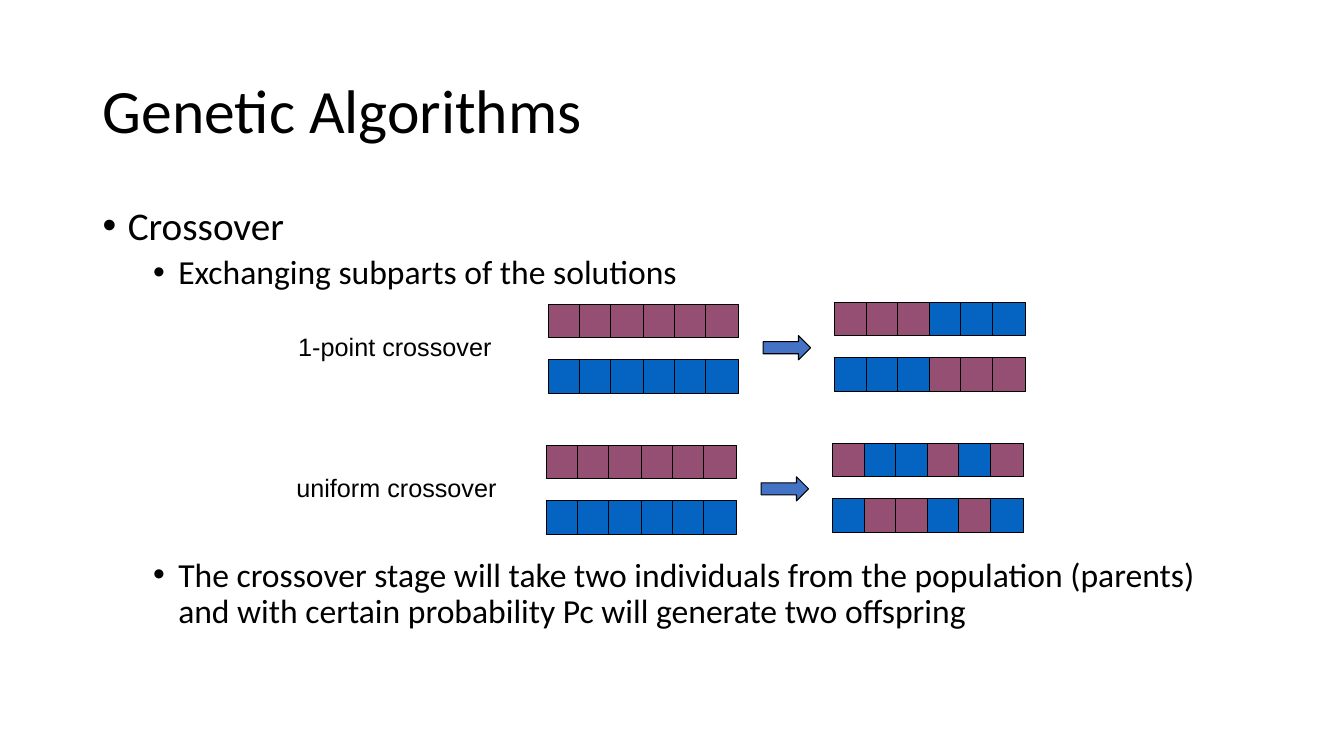
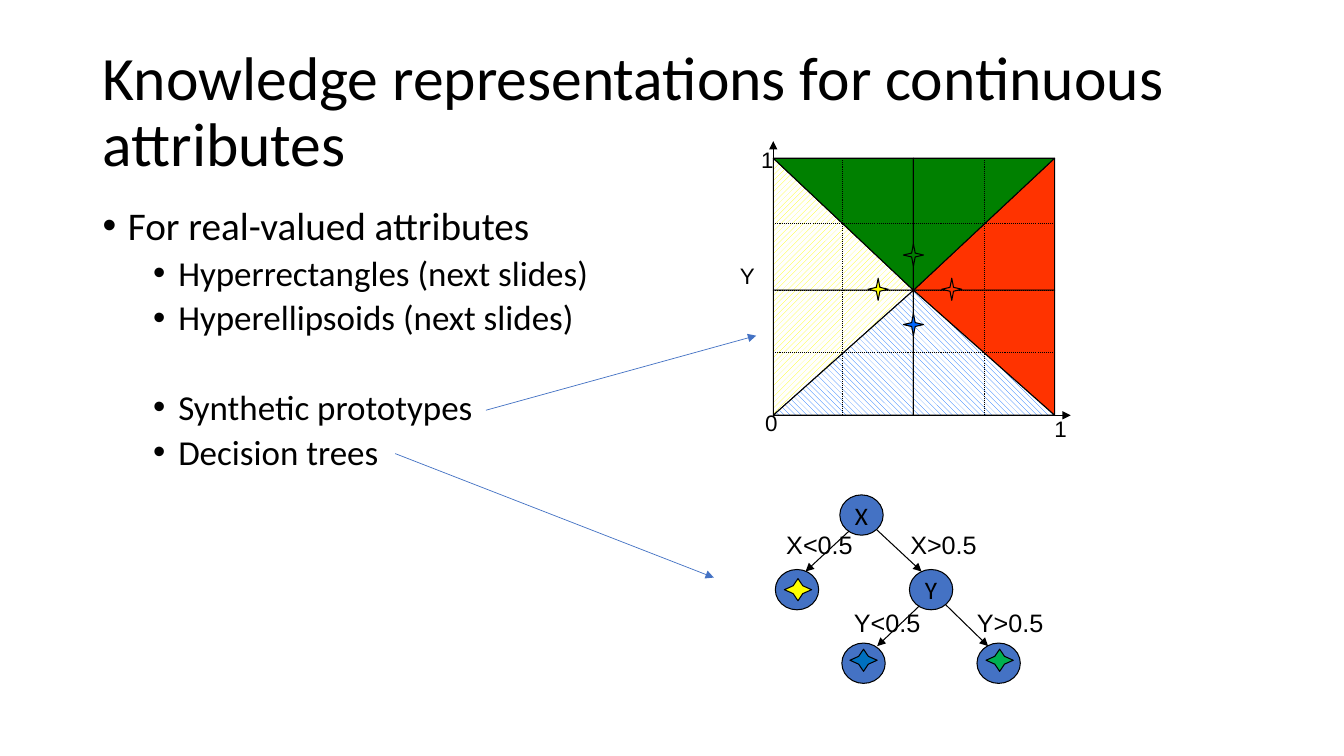
from pptx import Presentation
from pptx.dml.color import RGBColor
from pptx.enum.dml import MSO_LINE, MSO_PATTERN
from pptx.enum.shapes import MSO_CONNECTOR, MSO_SHAPE
from pptx.enum.text import MSO_ANCHOR, MSO_AUTO_SIZE, PP_ALIGN
from pptx.oxml.ns import qn
from pptx.util import Pt
from lxml import etree

PX = 9144  # 100 px to the inch
RECT, OVAL, STAR = MSO_SHAPE.RECTANGLE, MSO_SHAPE.OVAL, MSO_SHAPE.STAR_4_POINT
TRIANGLE, ARROW = MSO_SHAPE.RIGHT_TRIANGLE, MSO_SHAPE.RIGHT_ARROW
DOTTED = MSO_LINE.ROUND_DOT

BLACK, WHITE, ACCENT = "000000", "FFFFFF", "4472C4"
PLUM, BLUE = "954F72", "0563C1"
HEAD_FONT, LABEL_FONT = "Calibri", "Arial"
TITLE_BOX, BODY_BOX = (92, 40, 1150, 145), (92, 200, 1150, 476)

# Body lines: text, level, size, space before
CROSSOVER_BODY = [
    ("Crossover", 0, 28, 10),
    ("Exchanging subparts of the solutions", 1, 24, 5),
    ("The crossover stage will take two individuals from the population (parents) "
     "and with certain probability Pc will generate two offspring", 1, 24, 190),
]
ATTRIBUTES_BODY = [
    ("For real-valued attributes", 0, 28, 10),
    ("Hyperrectangles (next slides)", 1, 25, 5),
    ("Hyperellipsoids (next slides)", 1, 25, 5),
    ("Synthetic prototypes", 1, 25, 37),
    ("Decision trees", 1, 25, 5),
]

# Crossovers: label, label width, left shift, top shift, genes of the first child
CROSSOVERS = [
    ("1-point crossover", 214, 0, 0, "AAABBB"),
    ("uniform crossover", 221, -2, 140, "ABBABA"),
]
GENE_COLORS = {"A": PLUM, "B": BLUE}
SWAP = str.maketrans("AB", "BA")

# Square of prototypes: left, middle, right and top, middle, bottom
PLOT_X, PLOT_Y = (767, 906, 1046), (157, 288, 412)
UP, DOWN = MSO_PATTERN.WIDE_UPWARD_DIAGONAL, MSO_PATTERN.WIDE_DOWNWARD_DIAGONAL
VERTICAL, HORIZONTAL = MSO_PATTERN.DARK_VERTICAL, MSO_PATTERN.DARK_HORIZONTAL
YELLOW, GREEN = ("FFFF00", UP), ("008000", VERTICAL)
RED, SKY = ("FF3300", HORIZONTAL), ("0066FF", DOWN)
# Column, row, then each triangle's class and flips
QUADRANTS = [
    (0, 0, (YELLOW, ""), (GREEN, "HV")),
    (1, 0, (RED, "H"), (GREEN, "V")),
    (0, 1, (YELLOW, "V"), (SKY, "H")),
    (1, 1, (RED, "HV"), (SKY, "")),
]
PROTOTYPES = [(861, 276, YELLOW), (896, 242, GREEN), (934, 276, RED), (896, 311, SKY)]
AXIS_LABELS = [("Y", 724, 255), ("0", 749, 401), ("1", 1036, 407), ("1", 745, 140)]

TREE_NODES = [("X", 833, 491), ("", 769, 565), ("Y", 902, 565), ("", 835, 638), ("", 969, 638)]
TREE_EDGES = [
    ((842, 527), (799, 567)), ((869, 525), (914, 567)),
    ((912, 601), (870, 641)), ((938, 600), (980, 641)),
]
TREE_TESTS = [("X<0.5", 770, 520), ("X>0.5", 893, 520), ("Y<0.5", 837, 598), ("Y>0.5", 959, 598)]
TREE_LEAVES = [(778, 574, "FFFF00"), (843, 644, "0070C0"), (978, 644, "00B050")]
POINTERS = [((482, 407), (750, 333)), ((392, 450), (708, 573))]


def rgb(color):
    return RGBColor.from_string(color)


def px(*lengths):
    return [n * PX for n in lengths]


def style(p, size, font):
    for r in p.runs:
        r.font.size, r.font.name = Pt(size), font
        r.font.color.rgb = rgb(BLACK)


def add_shape(slide, kind, box, fill=None, pattern=None, flips="", adj=None):
    sp = slide.shapes.add_shape(kind, *px(*box))
    sp.shadow.inherit = False
    sp.line.color.rgb, sp.line.width = rgb(BLACK), Pt(0.75)
    if pattern is not None:
        sp.fill.patterned()
        sp.fill.pattern = pattern
        sp.fill.fore_color.rgb, sp.fill.back_color.rgb = rgb(fill), rgb(WHITE)
    elif fill:
        sp.fill.solid()
        sp.fill.fore_color.rgb = rgb(fill)
    else:
        sp.fill.background()
    for axis in flips:
        sp._element.spPr.find(qn("a:xfrm")).set("flip" + axis, "1")
    if adj is not None:
        sp.adjustments[0] = adj
    return sp


def add_line(slide, start, end, color=BLACK, width=0.75, dash=None, arrow=False):
    line = slide.shapes.add_connector(MSO_CONNECTOR.STRAIGHT, *px(*start, *end))
    line.line.color.rgb, line.line.width = rgb(color), Pt(width)
    if dash is not None:
        line.line.dash_style = dash
    if arrow:
        etree.SubElement(line.line._get_or_add_ln(), qn("a:tailEnd"), type="triangle")
    etree.SubElement(line._element.spPr, qn("a:effectLst"))


def add_label(slide, text, box, size=18):
    tf = slide.shapes.add_textbox(*px(*box)).text_frame
    tf.word_wrap, tf.auto_size = False, MSO_AUTO_SIZE.SHAPE_TO_FIT_TEXT
    tf.text = text
    style(tf.paragraphs[0], size, LABEL_FONT)


def add_bullet(p, level):
    pPr = p._p.get_or_add_pPr()
    pPr.set("marL", str((25 + 50 * level) * PX))
    pPr.set("indent", str(-25 * PX))
    etree.SubElement(pPr, qn("a:buFont"), typeface="Arial")
    etree.SubElement(pPr, qn("a:buChar"), char="•")


def add_slide(prs, title, body):
    """Add a blank slide with the shared title and bulleted body."""
    slide = prs.slides.add_slide(prs.slide_layouts[6])
    tf = slide.shapes.add_textbox(*px(*TITLE_BOX)).text_frame
    tf.word_wrap, tf.vertical_anchor = True, MSO_ANCHOR.MIDDLE
    tf.text = title
    tf.paragraphs[0].line_spacing = 0.9
    style(tf.paragraphs[0], 44, HEAD_FONT)

    tf = slide.shapes.add_textbox(*px(*BODY_BOX)).text_frame
    tf.word_wrap = True
    tf.text = "\n".join(line[0] for line in body)
    for p, (_, level, size, before) in zip(tf.paragraphs, body):
        p.level, p.line_spacing, p.space_before = level, 0.9, Pt(before)
        add_bullet(p, level)
        style(p, size, HEAD_FONT)
    return slide


def add_genes(slide, x, y, genes):
    for i, gene in enumerate(genes):
        add_shape(slide, RECT, (x + round(i * 156 / 5), y, 33, 33), GENE_COLORS[gene])


def add_crossover(slide, label, width, dx, dy, child):
    pairs = [(544, 302, "AAAAAA"), (828, 300, child)]
    for x, y, genes in pairs:
        add_genes(slide, x + dx, y + dy, genes)
        add_genes(slide, x + dx, y + dy + 55, genes.translate(SWAP))
    add_shape(slide, ARROW, (757 + dx, 333 + dy, 47, 24), ACCENT)
    add_label(slide, label, (286 + dx, 324 + dy, width, 40))


def add_tree(slide):
    for text, x, y in TREE_NODES:
        tf = add_shape(slide, OVAL, (x, y, 43, 40), ACCENT).text_frame
        if text:
            tf.word_wrap, tf.vertical_anchor = False, MSO_ANCHOR.MIDDLE
            tf.text = text
            tf.paragraphs[0].alignment = PP_ALIGN.CENTER
            style(tf.paragraphs[0], 18, HEAD_FONT)
    for start, end in TREE_EDGES:
        add_line(slide, start, end, arrow=True)
    for text, x, y in TREE_TESTS:
        add_label(slide, text, (x, y, 87, 40))
    for x, y, color in TREE_LEAVES:
        add_shape(slide, STAR, (x, y, 27, 22), color, adj=0.25)


def add_prototype_plot(slide):
    left, mid_x, right = PLOT_X
    top, mid_y, bottom = PLOT_Y
    for col, row, *triangles in QUADRANTS:
        x, y = PLOT_X[col], PLOT_Y[row]
        box = (x, y, PLOT_X[col + 1] - x, PLOT_Y[row + 1] - y)
        for (color, pattern), flips in triangles:
            add_shape(slide, TRIANGLE, box, color, pattern, flips)
    add_shape(slide, RECT, (left, top, right - left, bottom - top))
    for end in ((left, 140), (1062, bottom)):
        add_line(slide, (left, bottom), end, arrow=True)
    for text, x, y in AXIS_LABELS:
        add_label(slide, text, (x, y, 49, 57), 16)
    for x in ((left + mid_x) // 2, mid_x, (mid_x + right) // 2):
        add_line(slide, (x, top), (x, bottom), dash=DOTTED)
    for y in ((top + mid_y) // 2, mid_y, (mid_y + bottom) // 2):
        add_line(slide, (left, y), (right, y), dash=DOTTED)
    for x, y, (color, _) in PROTOTYPES:
        add_shape(slide, STAR, (x, y, 20, 22), color, adj=0.125)


def main():
    prs = Presentation()
    prs.slide_width, prs.slide_height = px(1333, 750)

    slide = add_slide(prs, "Genetic Algorithms", CROSSOVER_BODY)
    for crossover in CROSSOVERS:
        add_crossover(slide, *crossover)

    slide = add_slide(prs, "Knowledge representations for continuous attributes", ATTRIBUTES_BODY)
    add_tree(slide)
    add_prototype_plot(slide)
    for start, end in POINTERS:
        add_line(slide, start, end, ACCENT, 0.5, arrow=True)

    prs.save("out.pptx")


if __name__ == "__main__":
    main()
